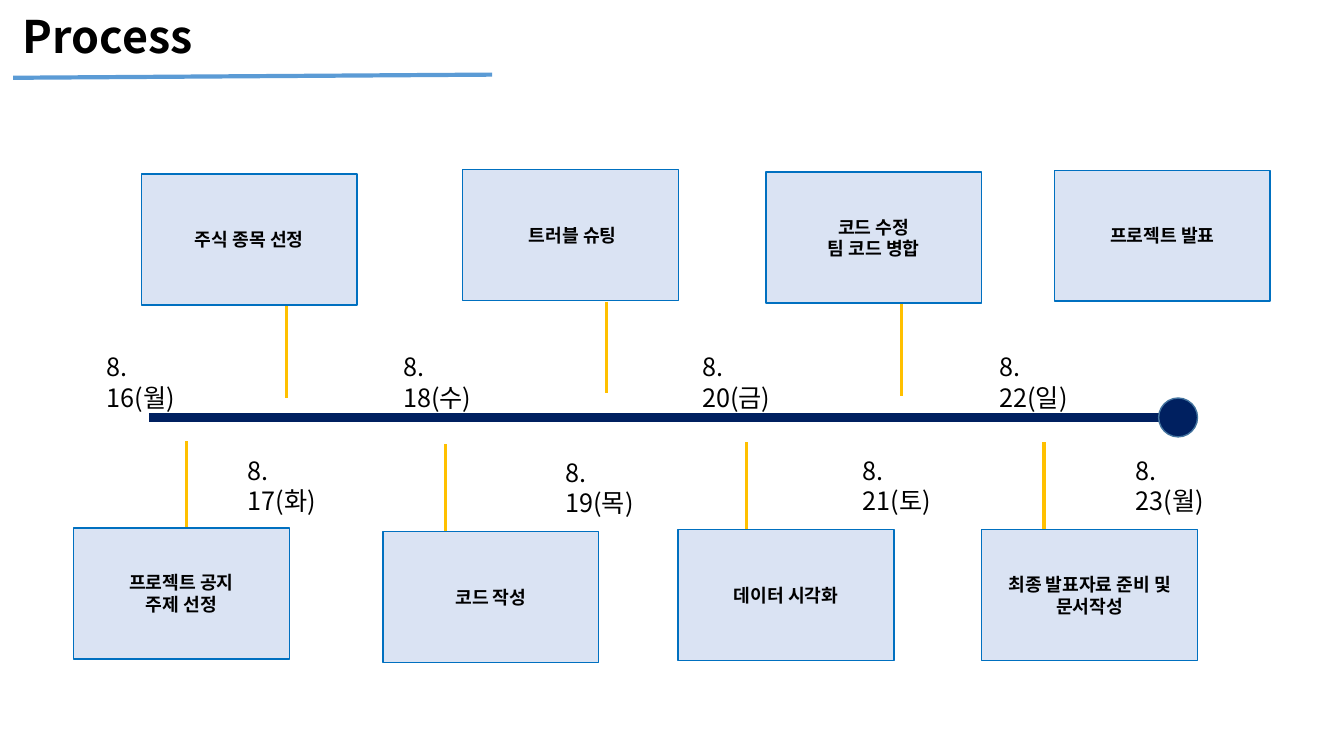
from lxml.etree import SubElement
from pptx import Presentation
from pptx.dml.color import RGBColor
from pptx.enum.shapes import MSO_CONNECTOR, MSO_SHAPE
from pptx.enum.text import MSO_ANCHOR, PP_ALIGN
from pptx.oxml.ns import qn
from pptx.util import Cm, Pt

FONT = "Noto Sans CJK KR"
COLORS = {
    "text": "000000",
    "axis": "002060",
    "axis_end_edge": "43739E",
    "stem": "FFC000",
    "card": "DAE3F3",
    "card_edge": "0070C0",
    "underline": "5B9BD5",
}
CARD_WIDTH, CARD_HEIGHT = 5.44, 3.3
STEM_LENGTH = 2.31
AXIS_Y = 10.52

# fmt: off
STAGES = [
    ("16(월)", (2.44, 8.74), (1.85, 13.31), 4.7, ["프로젝트 공지", "주제 선정"]),
    ("17(화)", (5.99, 11.35), (3.56, 4.39), 7.21, ["주식 종목 선정"]),
    ("18(수)", (9.91, 8.74), (9.65, 13.39), 11.23, ["코드 작성"]),
    ("19(목)", (14, 11.4), (11.66, 4.27), 15.29, [" 트러블 슈팅"]),
    ("20(금)", (17.45, 8.74), (17.09, 13.34), 18.82, ["데이터 시각화"]),
    ("21(토)", (21.49, 11.35), (19.3, 4.34), 22.71, ["코드 수정", "팀 코드 병합"]),
    ("22(일)", (24.94, 8.74), (24.74, 13.34), 26.31, ["최종 발표자료 준비 및", "문서작성"]),
    ("23(월)", (28.37, 11.35), (26.57, 4.29), None, ["프로젝트 발표"]),
]
# fmt: on


def color(name):
    return RGBColor.from_string(COLORS[name])


def add_span(para, text, size, bold=False):
    span = para.add_run()
    span.text = text
    span.font.name = FONT
    span.font.size = Pt(size)
    span.font.bold = bold
    span.font.color.rgb = color("text")
    SubElement(span.font._element, qn("a:ea"), typeface=FONT)


def add_line(page, start, end, color_name, width):
    line = page.shapes.add_connector(
        MSO_CONNECTOR.STRAIGHT, *(Cm(value) for value in start + end)
    )
    line.line.color.rgb = color(color_name)
    line.line.width = Pt(width)
    SubElement(line._element.spPr, qn("a:effectLst"))


def add_filled(page, kind, box, fill, edge):
    shape = page.shapes.add_shape(kind, *(Cm(value) for value in box))
    shape.shadow.inherit = False
    shape.fill.solid()
    shape.fill.fore_color.rgb = color(fill)
    shape.line.color.rgb = color(edge)
    shape.line.width = Pt(1)
    return shape


def add_text_box(page, box):
    shape = page.shapes.add_textbox(*(Cm(value) for value in box))
    shape.text_frame.word_wrap = True
    return shape.text_frame


def add_heading(page, box):
    left, top, width, height = box
    frame = add_text_box(page, box)
    frame.vertical_anchor = MSO_ANCHOR.MIDDLE
    para = frame.paragraphs[0]
    para.line_spacing = 0.9
    add_span(para, "Process", 32, True)
    base = top + height
    add_line(page, (left, base - 0.15), (left + 12.07, base - 0.23), "underline", 3)


def add_axis(page, box):
    left, top, width, height = box
    middle = top + height / 2
    add_line(page, (left, middle), (left + width - height, middle), "axis", 6)
    end_box = (left + width - height, top, height, height)
    add_filled(page, MSO_SHAPE.OVAL, end_box, "axis", "axis_end_edge")


def add_date(page, box, day):
    para = add_text_box(page, box).paragraphs[0]
    add_span(para, "8.", 18)
    para.add_line_break()
    add_span(para, day, 18)


def add_card(page, box, stem_x, lines):
    left, top, width, height = box
    if stem_x is not None:
        above_axis = top < AXIS_Y
        stem_top = top + height + 0.03 if above_axis else top + 0.12 - STEM_LENGTH
        stem_end = (stem_x, stem_top + STEM_LENGTH)
        add_line(page, (stem_x, stem_top), stem_end, "stem", 2.25)
    card = add_filled(page, MSO_SHAPE.RECTANGLE, box, "card", "card_edge")
    frame = card.text_frame
    frame.word_wrap = True
    frame.vertical_anchor = MSO_ANCHOR.MIDDLE
    for index, text in enumerate(lines):
        para = frame.add_paragraph() if index else frame.paragraphs[0]
        para.alignment = PP_ALIGN.CENTER
        add_span(para, text, 13, True)


def main():
    deck = Presentation()
    deck.slide_width, deck.slide_height = Cm(33.87), Cm(19.05)
    page = deck.slides.add_slide(deck.slide_layouts[6])
    add_axis(page, (3.76, AXIS_Y - 0.49, 26.42, 0.98))
    for day, date_at, card_at, stem_x, lines in STAGES:
        add_date(page, (*date_at, 2.74, 1.02), day)
        add_card(page, (*card_at, CARD_WIDTH, CARD_HEIGHT), stem_x, lines)
    add_heading(page, (0.33, -0.13, 7.29, 2.24))
    deck.save("out.pptx")


if __name__ == "__main__":
    main()
